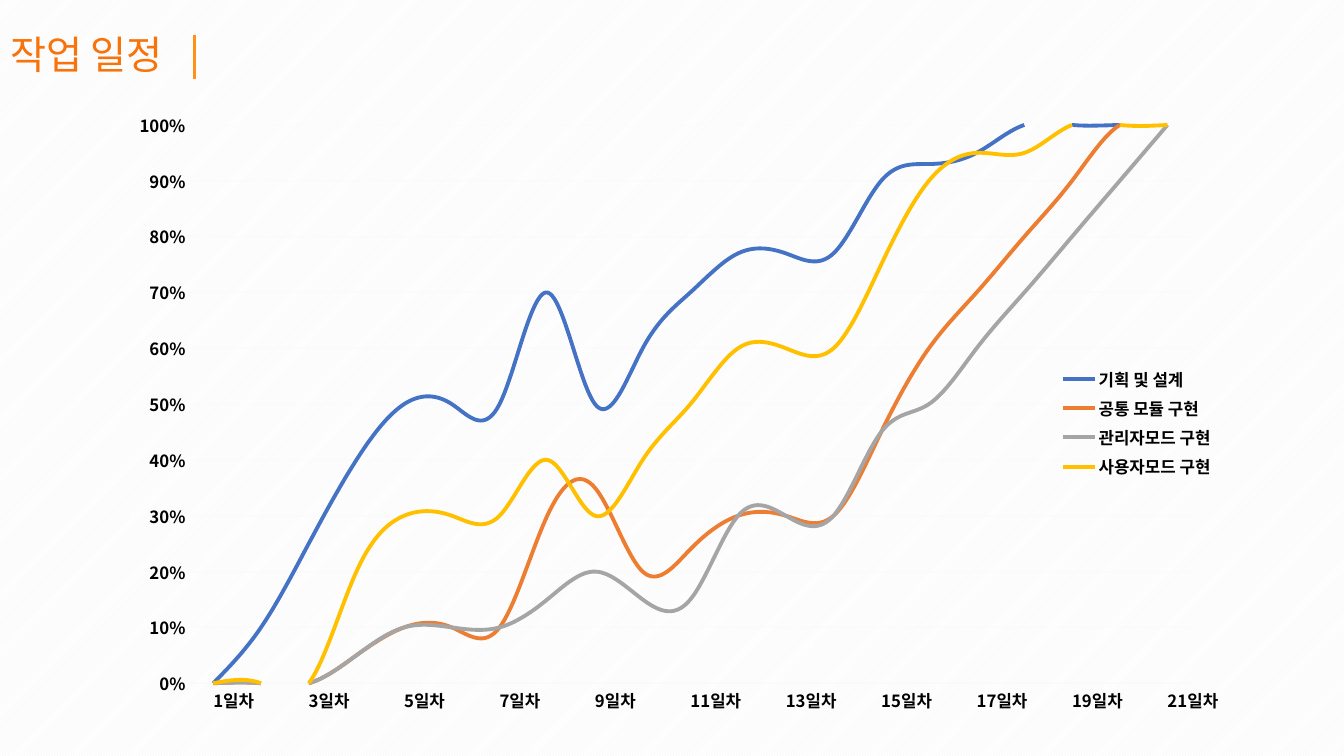
from lxml.etree import SubElement
from pptx import Presentation
from pptx.chart.data import CategoryChartData
from pptx.dml.color import RGBColor
from pptx.enum.chart import XL_CHART_TYPE, XL_LEGEND_POSITION, XL_TICK_MARK
from pptx.enum.dml import MSO_PATTERN
from pptx.enum.shapes import MSO_CONNECTOR
from pptx.enum.text import MSO_ANCHOR, MSO_AUTO_SIZE, PP_ALIGN
from pptx.oxml import parse_xml
from pptx.oxml.ns import nsdecls, qn
from pptx.util import Cm, Pt

FACE = "Noto Sans CJK KR"


def tint(color, code):
    """Set the colour of a font, line or colour object from a hex string."""
    if hasattr(color, "fill"):
        color.fill.solid()
        color = color.fill.fore_color
    color.rgb = RGBColor.from_string(code)


def style(font, size, code, bold):
    for key, val in {"name": FACE, "size": Pt(size), "bold": bold}.items():
        setattr(font, key, val)
    tint(font, code)


deck = Presentation()
deck.slide_width, deck.slide_height = Cm(33.87), Cm(19.05)
slide = deck.slides.add_slide(deck.slide_layouts[5])

# Background
fill = slide.background.fill
fill.patterned()
fill.pattern = MSO_PATTERN.DARK_UPWARD_DIAGONAL
tint(fill.fore_color, "F2F2F2")
tint(fill.back_color, "FFFFFF")

# Chart values in percent
work = {
    "기획 및 설계": ("4472C4", [0, 10, 25, 40, 50, 50, 50, 70, 50, 60, 70, 77, 77, 77,
                          90, 93, 95, 100, 100, 100, 100]),
    "공통 모듈 구현": ("ED7D31", [0, 0, 0, 5, 10, 10, 10, 30, 35, 20, 24, 30, 30, 30,
                           45, 60, 70, 80, 90, 100, 100]),
    "관리자모드 구현": ("A5A5A5", [0, 0, 0, 5, 10, 10, 10, 15, 20, 15, 15, 30, 30, 30,
                            45, 50, 60, 70, 80, 90, 100]),
    "사용자모드 구현": ("FFC000", [0, 0, 0, 20, 30, 30, 30, 40, 30, 40, 50, 60, 60, 60,
                            75, 90, 95, 95, 100, 100, 100]),
}
data = CategoryChartData(number_format="0%")
data.categories = [f"{day}일차" for day in range(1, 22)]
for name, (code, vals) in work.items():
    data.add_series(name, [val / 100 for val in vals])
frame = slide.shapes.add_chart(
    XL_CHART_TYPE.LINE, Cm(3.02), Cm(2.26), Cm(27.84), Cm(16.79), data)
chart = frame.chart
chart.has_title = False
style(chart.font, 10, "000000", False)

# Curves
plot = chart.plots[0]
plot.vary_by_categories = False
for curve, (code, vals) in zip(plot.series, work.values()):
    curve.smooth = True
    curve.format.line.width = Pt(2.75)
    tint(curve.format.line, code)

# Axes and grid
days, rate = chart.category_axis, chart.value_axis
for axis in (days, rate):
    axis.major_tick_mark = axis.minor_tick_mark = XL_TICK_MARK.NONE
    style(axis.tick_labels.font, 12, "000000", True)
rate.minimum_scale, rate.maximum_scale, rate.major_unit = 0, 1, 0.1
rate.tick_labels.number_format = "0%"
rate.tick_labels.number_format_is_linked = False
rate.format.line.fill.background()
rate.has_major_gridlines = True
for rule in (days.format.line, rate.major_gridlines.format.line):
    rule.width = Pt(0.75)
    tint(rule, "F2F2F2")
for tone in chart._chartSpace.iter(qn("a:srgbClr")):
    if tone.get("val") == "F2F2F2":
        SubElement(tone, qn("a:alpha")).set("val", "10000")

# A tiny turn makes each day label start at its point
turn = days._element.find(qn("c:txPr")).find(qn("a:bodyPr"))
turn.set("rot", "6000")
turn.set("vert", "horz")

# Legend
chart.has_legend = True
legend = chart.legend
legend.position = XL_LEGEND_POSITION.RIGHT
legend.include_in_layout = False
style(legend.font, 12, "000000", True)

# Manual places of plot and legend
area = chart._chartSpace.chart.plotArea
for old in area.findall(qn("c:layout")):
    area.remove(old)
inner = '<c:layoutTarget val="inner"/>'
for part, target, box in (
    (area, inner, (0.063, 0.053, 0.907, 0.838)),
    (legend._element, "", (0.83, 0.41, 0.14, 0.18)),
):
    modes = '<c:xMode val="edge"/><c:yMode val="edge"/>'
    sizes = "".join(f'<c:{key} val="{val}"/>' for key, val in zip("xywh", box))
    layout = parse_xml(
        f'<c:layout {nsdecls("c")}><c:manualLayout>{target}{modes}{sizes}'
        "</c:manualLayout></c:layout>")
    if part is area:
        area.insert(0, layout)
    else:
        part.find(qn("c:legendPos")).addnext(layout)

# Title
title = slide.shapes.title
box = {"left": Cm(0), "top": Cm(0.64), "width": Cm(4.9), "height": Cm(1.45)}
for key, val in box.items():
    setattr(title, key, val)
text = title.text_frame
text.text = "작업 일정"
form = {"word_wrap": False, "auto_size": MSO_AUTO_SIZE.NONE,
        "vertical_anchor": MSO_ANCHOR.MIDDLE}
for key, val in form.items():
    setattr(text, key, val)
text.paragraphs[0].alignment = PP_ALIGN.LEFT
run = text.paragraphs[0].runs[0]
style(run.font, 28, "F8730A", False)
run._r.get_or_add_rPr().set("kern", "0")

# Bar beside the title
bar = slide.shapes.add_connector(
    MSO_CONNECTOR.STRAIGHT, Cm(4.9), Cm(1.98), Cm(4.9), Cm(0.89))
bar.line.width = Pt(2.25)
tint(bar.line, "FF9116")
SubElement(bar._element.spPr, qn("a:effectLst"))

# Same face for Korean letters
for root in (slide._element, chart._chartSpace):
    for latin in list(root.iter(qn("a:latin"))):
        latin.addnext(parse_xml(f'<a:ea {nsdecls("a")} typeface="{FACE}"/>'))

deck.save("out.pptx")
